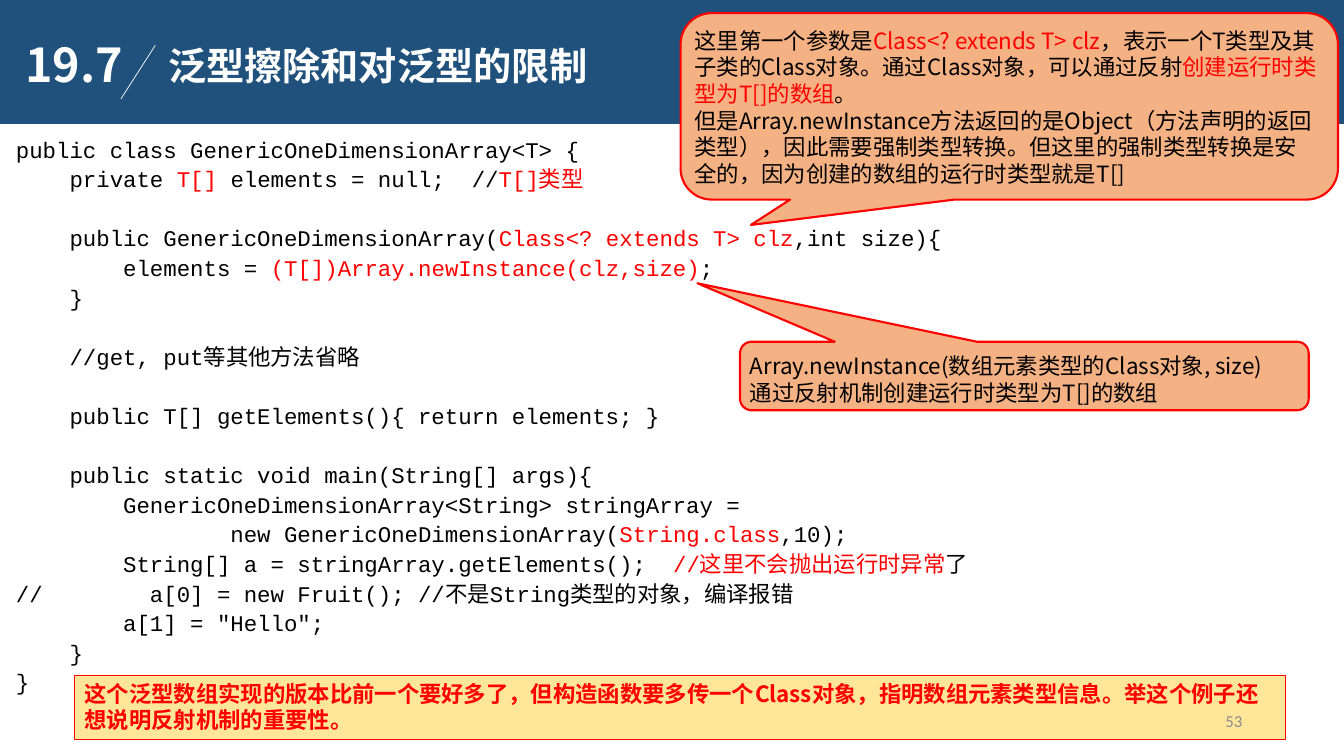
from lxml.etree import SubElement
from pptx import Presentation
from pptx.dml.color import RGBColor
from pptx.enum.shapes import MSO_CONNECTOR, MSO_SHAPE
from pptx.enum.text import MSO_ANCHOR, PP_ALIGN
from pptx.oxml.ns import qn
from pptx.util import Inches, Pt

NAVY, WHITE, BLACK, RED = "20517C", "FFFFFF", "000000", "FF0000"
ORANGE, YELLOW, GRAY = "F4B183", "FFE699", "8C8C8C"
HEADING_FONT, NOTE_FONT, CODE_FONT = "Noto Sans CJK SC", "Noto Sans CJK JP", "Courier New"
CODE_PITCH, NOTE_PITCH = 21.15, 19

CODE = [
    ["public class GenericOneDimensionArray<T> {"],
    ["    private ", ("T[] ", RED), "elements = null;  //", ("T[]类型", RED)],
    [],
    ["    public GenericOneDimensionArray(", ("Class<? extends T> clz", RED), ",int size){"],
    ["        elements = ", ("(T[])Array.newInstance(clz,size)", RED), ";"],
    ["    }"],
    [],
    ["    //get, put等其他方法省略"],
    [],
    ["    public T[] getElements(){ return elements; }"],
    [],
    ["    public static void main(String[] args){"],
    ["        GenericOneDimensionArray<String> stringArray ="],
    ["                new GenericOneDimensionArray(", ("String.class", RED), ",10);"],
    ["        String[] a = stringArray.getElements();  ",
     ("//这里不会抛出运行时异常", RED), "了"],
    ["//        a[0] = new Fruit(); //不是String类型的对象，编译报错"],
    ["        a[1] = \"Hello\";"],
    ["    }"],
    ["}"],
]

PARAMETER_NOTE = [
    ["这里第一个参数是", ("Class<? extends T> clz", RED),
     "，表示一个T类型及其子类的Class对象。通过Class对象，可以通过反射",
     ("创建运行时类型为T[]的数组", RED), "。"],
    ["但是Array.newInstance方法返回的是Object（方法声明的返回类型），因此需要强制类型转换。"
     "但这里的强制类型转换是安全的，因为创建的数组的运行时类型就是T[]"],
]

INSTANCE_NOTE = [
    ["Array.newInstance(数组元素类型的Class对象, size)"],
    ["通过反射机制创建运行时类型为T[]的数组"],
]

SUMMARY = [[
    "这个泛型数组实现的版本比前一个要好多了，但构造函数要多传一个Class对象，"
    "指明数组元素类型信息。举这个例子还想说明反射机制的重要性。"
]]


def color(value):
    return RGBColor.from_string(value)


class SlideBuilder:
    def __init__(self, presentation):
        self.slide = presentation.slides.add_slide(presentation.slide_layouts[6])

    def box(self, preset, bounds, fill, line=None, width=0.75, adjustments=()):
        shape = self.slide.shapes.add_shape(preset, *map(Inches, bounds))
        shape.shadow.inherit = False
        shape.fill.solid()
        shape.fill.fore_color.rgb = color(fill)
        if line:
            shape.line.color.rgb = color(line)
            shape.line.width = Pt(width)
        else:
            shape.line.fill.background()
        for index, value in enumerate(adjustments):
            shape.adjustments[index] = value
        return shape

    def callout(self, bounds, tip):
        self.box(MSO_SHAPE.ROUNDED_RECTANGULAR_CALLOUT, bounds, ORANGE, RED, 1.5,
                 (*tip, 0.167))

    def line(self, start, end, stroke, width):
        connector = self.slide.shapes.add_connector(
            MSO_CONNECTOR.STRAIGHT, *map(Inches, (*start, *end)))
        connector.line.color.rgb = color(stroke)
        connector.line.width = Pt(width)
        SubElement(connector._element.spPr, qn("a:effectLst"))

    def text(self, bounds, lines, **style):
        shape = self.slide.shapes.add_textbox(*map(Inches, bounds))
        self.fill_text(shape, lines, **style)

    def fill_text(self, shape, lines, font=NOTE_FONT, size=16, ink=BLACK, bold=False,
                  pitch=NOTE_PITCH, align=PP_ALIGN.LEFT, anchor=MSO_ANCHOR.TOP):
        frame = shape.text_frame
        frame.word_wrap = True
        frame.vertical_anchor = anchor
        paragraph = frame.paragraphs[0]
        gap = 0
        for index, line in enumerate(lines):
            if not line:
                gap += pitch
                continue
            if index:
                paragraph = frame.add_paragraph()
            paragraph.alignment = align
            paragraph.line_spacing = Pt(pitch)
            if gap:
                paragraph.space_before = Pt(gap)
            gap = 0
            for part in line:
                words, run_ink = (part, ink) if isinstance(part, str) else part
                run = paragraph.add_run()
                run.text = words
                run.font.size = Pt(size)
                run.font.bold = bold
                run.font.color.rgb = color(run_ink)
                run.font.name = font
                east_asian = SubElement(run.font._element, qn("a:ea"))
                east_asian.set("typeface", HEADING_FONT if font == CODE_FONT else font)


def main():
    presentation = Presentation()
    presentation.slide_width = Inches(13.33)
    presentation.slide_height = Inches(7.5)
    builder = SlideBuilder(presentation)

    builder.box(MSO_SHAPE.RECTANGLE, (-0.03, 0, 13.36, 1.23), NAVY)
    builder.line((1.54, 0.45), (1.2, 0.98), WHITE, 0.5)
    builder.text((1.57, 0.38, 8.09, 0.54), [["泛型擦除和对泛型的限制"]],
                 font=HEADING_FONT, size=27.3, ink=WHITE, bold=True, pitch=32)
    builder.text((0.15, 0.38, 1.17, 0.54), [["19.7"]],
                 font=HEADING_FONT, size=33.3, ink=WHITE, bold=True, pitch=35)

    builder.text((0.06, 1.27, 12.91, 5.72), CODE, font=CODE_FONT, pitch=CODE_PITCH)

    builder.callout((6.75, 0.13, 6.52, 1.85), (-0.393, 0.636))
    builder.text((6.79, 0.22, 6.39, 1.72), PARAMETER_NOTE)

    summary = builder.box(MSO_SHAPE.RECTANGLE, (0.74, 6.7, 12.01, 0.64), YELLOW, RED)
    builder.fill_text(summary, SUMMARY, font=HEADING_FONT, ink=RED, bold=True)

    builder.callout((7.34, 3.39, 5.64, 0.68), (-0.575, -1.353))
    builder.text((7.34, 3.45, 5.56, 0.64), INSTANCE_NOTE)

    builder.text((9.42, 6.95, 3, 0.4), [["53"]], font="Calibri", size=12, ink=GRAY,
                 pitch=14.5, align=PP_ALIGN.RIGHT, anchor=MSO_ANCHOR.MIDDLE)

    presentation.save("out.pptx")


if __name__ == "__main__":
    main()
